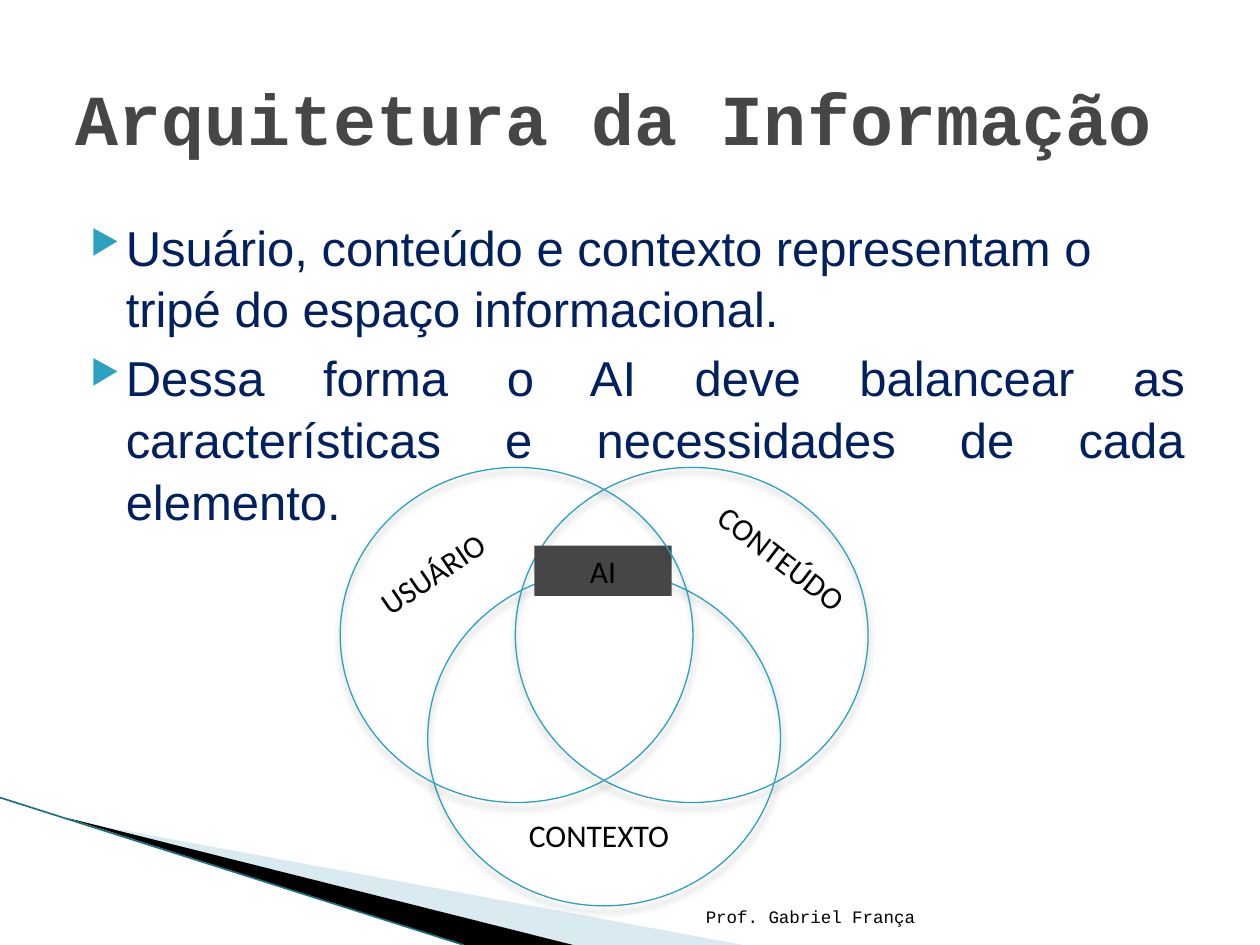
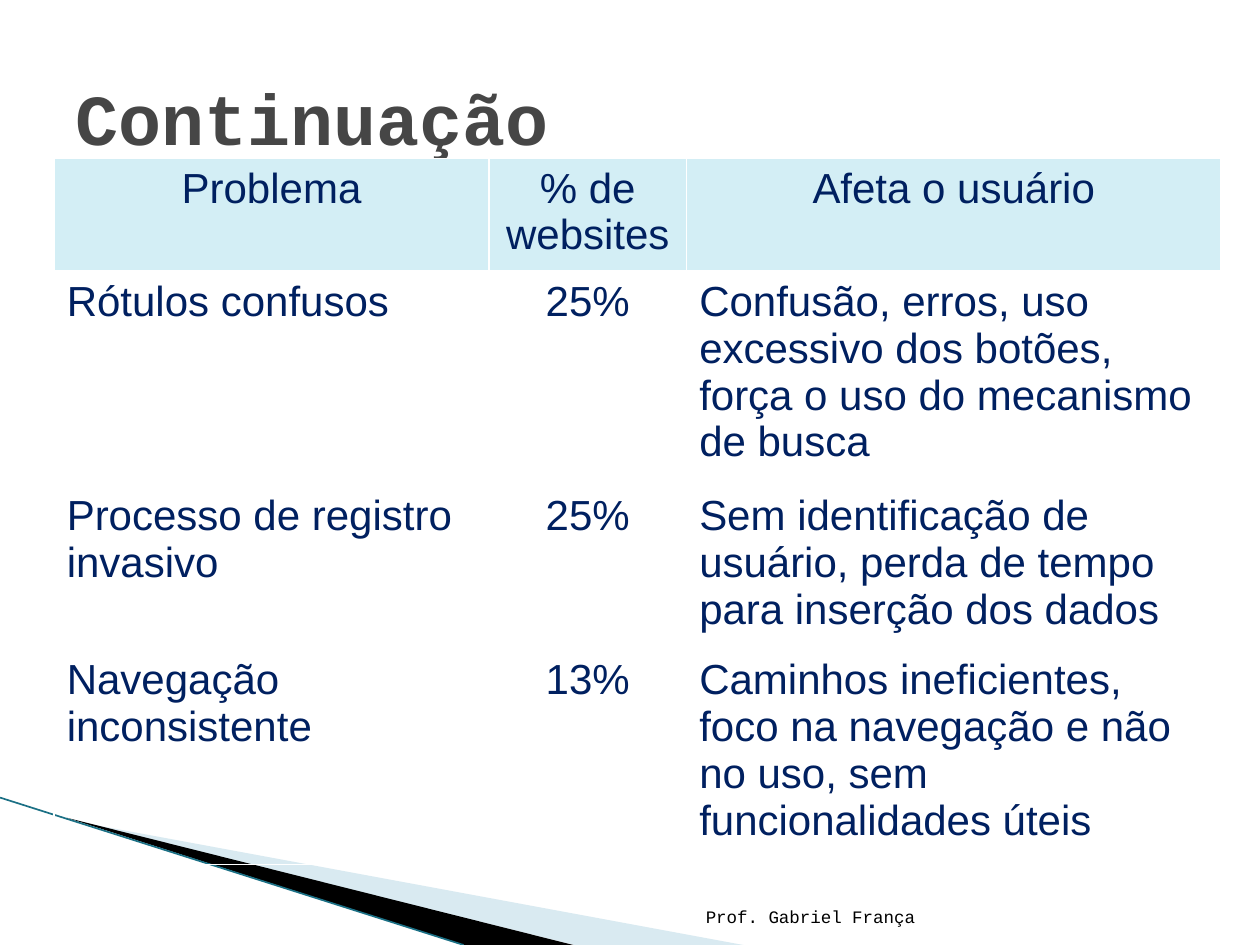
from typing import NamedTuple

from lxml import etree
from pptx import Presentation
from pptx.dml.color import RGBColor
from pptx.enum.shapes import MSO_CONNECTOR as Connector, MSO_SHAPE as Preset
from pptx.enum.text import MSO_ANCHOR as Anchor, PP_ALIGN as Align
from pptx.oxml.ns import qn
from pptx.util import Inches, Pt

NAVY, TEAL, DARK_TEAL = "002060", "2DA2BF", "1B7085"
GREY, BLACK, WHITE = "464646", "000000", "FFFFFF"
PALE_BLUE, HEADER_BLUE = "A0CBDC", "D3EEF5"


class Area(NamedTuple):
    left: float
    top: float
    width: float
    height: float

    def lengths(self) -> list:
        return [Inches(value) for value in self]


class Style(NamedTuple):
    font: str
    size: float
    color: str
    bold: bool = False


class Label(NamedTuple):
    text: str
    area: Area
    rotation: float = 0


class Wedge(NamedTuple):
    points: list
    color: str
    opacity: int


TITLE = Style("Courier New", 41, GREY, True)
FOOTER = Style("Courier New", 10, BLACK)
BODY = Style("Arial", 28, NAVY)
CELL = Style("Arial", 24, NAVY)
LABEL = Style("Calibri", 18, BLACK)

WEDGES = [
    Wedge([(0.55, 6.51), (5.9, 7.5), (4.56, 7.5)], PALE_BLUE, 40),
    Wedge([(0.53, 6.49), (4.55, 7.5), (3.68, 7.5)], BLACK, 100),
]

BULLETS = [
    ("Usuário, conteúdo e contexto representam o tripé do espaço informacional.", Align.LEFT),
    ("Dessa forma o AI deve balancear as características e necessidades de cada elemento.",
     Align.JUSTIFY),
]

# Venn circles share one size; the lower one sits midway between the upper two
CIRCLE_WIDTH, CIRCLE_HEIGHT = 2.8, 2.66
USER_LEFT, CONTENT_LEFT, UPPER_TOP, LOWER_TOP = 2.7, 4.09, 3.71, 4.53
CONTEXT_LEFT = (USER_LEFT + CONTENT_LEFT) / 2

LABELS = [
    Label("USUÁRIO", Area(2.85, 4.31, 1.28, 0.4), 325.8),
    Label("CONTEÚDO", Area(5.5, 4.28, 1.54, 0.4), 37.5),
    Label("CONTEXTO", Area(4.1, 6.43, 1.46, 0.4)),
]

COLUMN_WIDTHS = [3.45, 1.57, 4.24]
ROW_HEIGHTS = [0.9, 1.7, 1.3, 1.7]
PROBLEMS = [
    ("Problema", "% de websites", "Afeta o usuário"),
    ("Rótulos confusos", "25%",
     "Confusão, erros, uso excessivo dos botões, força o uso do mecanismo de busca"),
    ("Processo de registro invasivo", "25%",
     "Sem identificação de usuário, perda de tempo para inserção dos dados"),
    ("Navegação inconsistente", "13%",
     "Caminhos ineficientes, foco na navegação e não no uso, sem funcionalidades úteis"),
]


def rgb(color: str) -> RGBColor:
    return RGBColor.from_string(color)


def add_element(parent, tag: str, **attributes):
    return etree.SubElement(parent, qn(tag), {key: str(value) for key, value in attributes.items()})


def paint(fill, color: str) -> None:
    fill.solid()
    fill.fore_color.rgb = rgb(color)


def write(para, text: str, style: Style, align=Align.LEFT) -> None:
    para.text = text
    para.alignment = align
    for span in para.runs:
        span.font.name, span.font.size, span.font.bold = style.font, Pt(style.size), style.bold
        span.font.color.rgb = rgb(style.color)


def add_text(slide, text: str, area: Area, style: Style, align=Align.LEFT, anchor=Anchor.TOP):
    box = slide.shapes.add_textbox(*area.lengths())
    box.text_frame.word_wrap = True
    box.text_frame.vertical_anchor = anchor
    write(box.text_frame.paragraphs[0], text, style, align)
    return box


# Shared parts: corner band, title, footer

def add_wedge(slide, wedge: Wedge) -> None:
    start, *others = [(Inches(x), Inches(y)) for x, y in wedge.points]
    builder = slide.shapes.build_freeform(*start, scale=1)
    builder.add_line_segments(others, close=True)
    shape = builder.convert_to_shape()
    shape.shadow.inherit = False
    shape.line.fill.background()
    paint(shape.fill, wedge.color)
    if wedge.opacity < 100:
        color = shape.fill._xPr.find(qn("a:solidFill"))[0]
        add_element(color, "a:alpha", val=wedge.opacity * 1000)


def add_base_slide(deck, title: str):
    slide = deck.slides.add_slide(deck.slide_layouts[6])
    for wedge in WEDGES:
        add_wedge(slide, wedge)
    edge = slide.shapes.add_connector(
        Connector.STRAIGHT, Inches(0), Inches(6.33), Inches(3.68), Inches(7.5))
    edge.line.color.rgb = rgb(DARK_TEAL)
    edge.line.width = Pt(0.95)
    add_element(edge._element.spPr, "a:effectLst")
    add_text(slide, "Prof. Gabriel França", Area(4.79, 7.01, 2.57, 0.4), FOOTER,
             Align.RIGHT, Anchor.BOTTOM)
    add_text(slide, title, Area(0.5, 0.3, 9, 1.25), TITLE, anchor=Anchor.MIDDLE)
    return slide


# Bullets and Venn diagram

def add_bullets(slide) -> None:
    box = slide.shapes.add_textbox(*Area(0.5, 1.62, 9, 2.6).lengths())
    frame = box.text_frame
    frame.word_wrap = True
    frame.margin_top = Inches(0.08)
    for index, (text, align) in enumerate(BULLETS):
        para = frame.add_paragraph() if index else frame.paragraphs[0]
        para.line_spacing = 1.05
        if index:
            para.space_before = Pt(4)
        properties = para._p.get_or_add_pPr()
        properties.set("marL", str(Inches(0.4)))
        properties.set("indent", str(Inches(-0.28)))
        add_element(add_element(properties, "a:buClr"), "a:srgbClr", val=TEAL)
        add_element(properties, "a:buSzPct", val=68000)
        add_element(properties, "a:buChar", char="▶")
        write(para, text, BODY, align)


def add_circle(slide, left: float, top: float) -> None:
    area = Area(left, top, CIRCLE_WIDTH, CIRCLE_HEIGHT)
    circle = slide.shapes.add_shape(Preset.OVAL, *area.lengths())
    circle.fill.background()
    circle.line.color.rgb = rgb(TEAL)
    circle.line.width = Pt(0.75)
    circle.shadow.inherit = False
    effects = circle._element.spPr.find(qn("a:effectLst"))
    shadow = add_element(effects, "a:outerShdw", blurRad=Pt(4), dist=Pt(3),
                         dir=90 * 60000, rotWithShape=0)
    add_element(add_element(shadow, "a:srgbClr", val=BLACK), "a:alpha", val=35000)


def add_venn(slide) -> None:
    add_circle(slide, CONTENT_LEFT, UPPER_TOP)
    add_circle(slide, CONTEXT_LEFT, LOWER_TOP)
    for label in LABELS:
        add_text(slide, label.text, label.area, LABEL).rotation = label.rotation
    center = add_text(slide, "AI", Area(4.24, 4.33, 1.09, 0.4), LABEL, Align.CENTER)
    paint(center.fill, GREY)
    add_circle(slide, USER_LEFT, UPPER_TOP)


# Problem table

def add_borders(cell, bottom: float) -> None:
    properties = cell._tc.get_or_add_tcPr()
    for index, side in enumerate("LRTB"):
        width = bottom if side == "B" else 1
        line = etree.Element(qn(f"a:ln{side}"), {"w": str(Pt(width))})
        add_element(add_element(line, "a:solidFill"), "a:srgbClr", val=WHITE)
        properties.insert(index, line)


def add_problem_table(slide) -> None:
    area = Area(0.43, 1.26, sum(COLUMN_WIDTHS), sum(ROW_HEIGHTS))
    table = slide.shapes.add_table(len(PROBLEMS), len(COLUMN_WIDTHS), *area.lengths()).table
    table.first_row = table.horz_banding = False
    for column, width in zip(table.columns, COLUMN_WIDTHS):
        column.width = Inches(width)
    for row_index, (row, height) in enumerate(zip(table.rows, ROW_HEIGHTS)):
        row.height = Inches(height)
        is_header = row_index == 0
        for column_index, cell in enumerate(row.cells):
            centered = is_header or column_index == 1
            write(cell.text_frame.paragraphs[0], PROBLEMS[row_index][column_index], CELL,
                  Align.CENTER if centered else Align.LEFT)
            if is_header:
                paint(cell.fill, HEADER_BLUE)
            else:
                cell.fill.background()
            add_borders(cell, bottom=3 if is_header else 1)


def main() -> None:
    deck = Presentation()
    deck.slide_width, deck.slide_height = Inches(10), Inches(7.5)

    architecture = add_base_slide(deck, "Arquitetura da Informação")
    add_bullets(architecture)
    add_venn(architecture)

    continuation = add_base_slide(deck, "Continuação")
    add_problem_table(continuation)

    deck.save("out.pptx")


if __name__ == "__main__":
    main()
